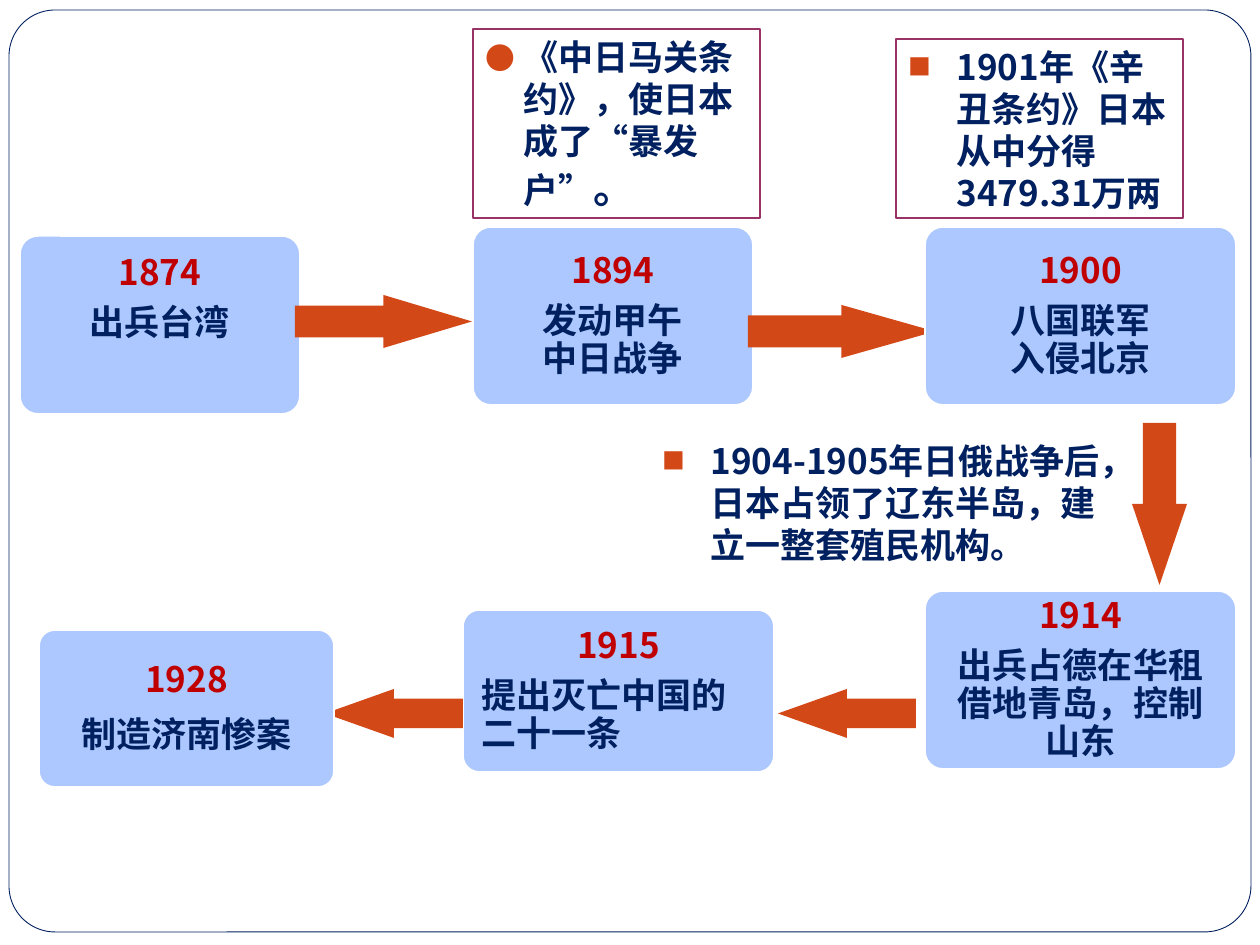
import pptx
import pptx.util
import pptx.dml.color
import pptx.enum.shapes
import pptx.enum.text
import pptx.oxml
import pptx.oxml.ns

SCALE = 914400 / 126
FONT = "Noto Sans CJK JP"
NAVY, RED, RUST = "002060", "C00000", "D34817"
BLUE, WHITE, PLUM = "ACC8FF", "FFFFFF", "993366"
KIND = pptx.enum.shapes.MSO_SHAPE
ALIGN = pptx.enum.text.PP_ALIGN
ANCHOR = pptx.enum.text.MSO_ANCHOR


def px(n):
    return pptx.util.Emu(round(n * SCALE))


def color(code):
    return pptx.dml.color.RGBColor.from_string(code)


class Deck:
    """Holds the style and the current slide."""

    def __init__(self):
        self.file = pptx.Presentation()
        self.file.slide_width, self.file.slide_height = px(1260), px(945)
        self.slide = self.file.slides.add_slide(self.file.slide_layouts[6])

    def shape(self, kind, area, fill=None, line=None, width=1):
        item = self.slide.shapes.add_shape(kind, *map(px, area))
        item.shadow.inherit = False
        if fill:
            item.fill.solid()
            item.fill.fore_color.rgb = color(fill)
        else:
            item.fill.background()
        if line:
            item.line.color.rgb = color(line)
            item.line.width = pptx.util.Pt(width)
        else:
            item.line.fill.background()
        return item

    def run(self, para, text, tint=NAVY, size=20):
        run = para.add_run()
        run.text = text
        font = run.font
        font.name, font.size, font.bold = FONT, pptx.util.Pt(size), True
        font.color.rgb = color(tint)
        east = pptx.oxml.parse_xml(
            f'<a:ea {pptx.oxml.ns.nsdecls("a")} typeface="{FONT}"/>')
        run.font._element.find(pptx.oxml.ns.qn("a:latin")).addnext(east)

    def frame(self):
        item = self.shape(KIND.ROUNDED_RECTANGLE, (9, 10, 1242, 922),
                          WHITE, NAVY, 0.5)
        item.adjustments[0] = 0.05

    def event(self, area, year, lines, align=ALIGN.CENTER,
              anchor=ANCHOR.MIDDLE, gap=0, pitch=0.9):
        """Box with a red year above one or more lines of text."""
        item = self.shape(KIND.ROUNDED_RECTANGLE, area, BLUE, WHITE)
        item.adjustments[0] = 0.1
        frame = item.text_frame
        frame.word_wrap, frame.vertical_anchor = True, anchor
        frame.margin_left = frame.margin_right = px(14)
        frame.margin_top = frame.margin_bottom = px(14)
        head = frame.paragraphs[0]
        head.alignment, head.line_spacing = ALIGN.CENTER, 0.9
        head.space_after = pptx.util.Pt(7)
        self.run(head, year, RED)
        for text in lines:
            para = frame.add_paragraph()
            para.alignment, para.line_spacing = align, pitch
            para.space_after = pptx.util.Pt(gap)
            self.run(para, text)

    def arrow(self, kind, area):
        """Block arrow whose head takes half of its length."""
        item = self.shape(kind, area, RUST)
        item.adjustments[0] = 0.6
        item.adjustments[1] = max(area[2:]) / min(area[2:]) / 2

    def note(self, area, parts, mark="■", ratio=65, indent=48, line=PLUM):
        """Bulleted text; parts are pairs of text and point size."""
        if line:
            item = self.shape(KIND.RECTANGLE, area, None, line, 0.75)
        else:
            item = self.slide.shapes.add_textbox(*map(px, area))
        frame = item.text_frame
        frame.word_wrap, frame.vertical_anchor = True, ANCHOR.TOP
        para = frame.paragraphs[0]
        para.alignment = ALIGN.LEFT
        para.space_before = pptx.util.Pt(0)
        props = para._p.get_or_add_pPr()
        props.set("marL", str(px(indent)))
        props.set("indent", str(-px(indent)))
        space = pptx.oxml.ns.nsdecls("a")
        for xml in (
            f'<a:buClr {space}><a:srgbClr val="{RUST}"/></a:buClr>',
            f'<a:buSzPct {space} val="{ratio * 1000}"/>',
            f'<a:buFont {space} typeface="{FONT}"/>',
            f'<a:buChar {space} char="{mark}"/>',
        ):
            props.append(pptx.oxml.parse_xml(xml))
        for text, size in parts:
            self.run(para, text, size=size)


def main():
    deck = Deck()
    deck.frame()
    deck.event((20, 236, 280, 178), "1874", ["出兵台湾"],
               anchor=ANCHOR.TOP, gap=7)
    deck.arrow(KIND.RIGHT_ARROW, (295, 295, 177, 53))
    deck.event((473, 227, 280, 178), "1894", ["发动甲午", "中日战争"])
    deck.arrow(KIND.RIGHT_ARROW, (748, 305, 187, 53))
    deck.event((925, 227, 311, 178), "1900", ["八国联军", "入侵北京"])
    deck.arrow(KIND.DOWN_ARROW, (1132, 423, 55, 162))
    deck.event((463, 610, 311, 162), "1915", ["提出灭亡中国的二十一条"],
               align=ALIGN.LEFT, gap=7)
    deck.arrow(KIND.LEFT_ARROW, (325, 689, 138, 49))
    deck.event((39, 630, 295, 157), "1928", ["制造济南惨案"], pitch=1)
    deck.note((473, 29, 287, 189),
              [("《中日马关条约》，使日本成了“暴发户”", 20), ("。", 24)],
              "●", 85, 38)
    deck.note((896, 39, 287, 179),
              [("1901年《辛丑条约》日本从中分得3479.31万两", 20)])
    deck.note((650, 433, 462, 147),
              [("1904-1905年日俄战争后，日本占领了辽东半岛，"
                "建立一整套殖民机构。", 20)], line=None)
    deck.event((925, 591, 311, 178), "1914",
               ["出兵占德在华租借地青岛，控制山东"])
    deck.arrow(KIND.LEFT_ARROW, (778, 689, 138, 49))
    deck.file.save("out.pptx")


if __name__ == "__main__":
    main()
